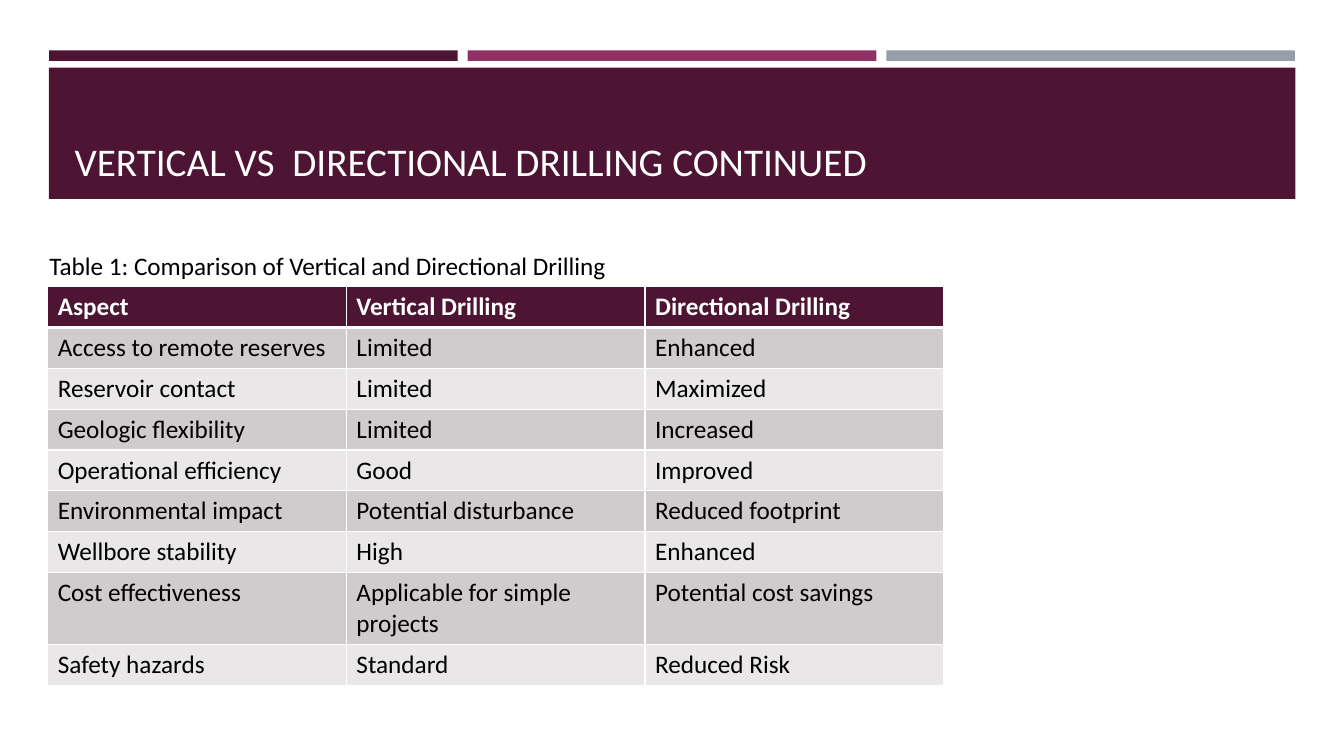
from lxml import etree
from pptx import Presentation
from pptx.dml.color import RGBColor
from pptx.enum.shapes import MSO_SHAPE
from pptx.enum.text import MSO_ANCHOR, PP_ALIGN
from pptx.oxml.ns import qn
from pptx.util import Inches, Pt

RECTANGLE = MSO_SHAPE.RECTANGLE
LEFT = PP_ALIGN.LEFT
TOP, BOTTOM = MSO_ANCHOR.TOP, MSO_ANCHOR.BOTTOM
TITLE_ONLY = 5
GRID = 100

COLORS = {
    "plum": "4D1434",
    "magenta": "903163",
    "steel": "969FA7",
    "dark_band": "D0CCCE",
    "light_band": "E9E7E8",
    "white": "FFFFFF",
    "black": "000000",
}

COMPARISON = [
    ("Aspect", "Vertical Drilling", "Directional Drilling"),
    ("Access to remote reserves", "Limited", "Enhanced"),
    ("Reservoir contact", "Limited", "Maximized"),
    ("Geologic flexibility", "Limited", "Increased"),
    ("Operational efficiency", "Good", "Improved"),
    ("Environmental impact", "Potential disturbance", "Reduced footprint"),
    ("Wellbore stability", "High", "Enhanced"),
    ("Cost effectiveness", "Applicable for simple projects", "Potential cost savings"),
    ("Safety hazards", "Standard", "Reduced Risk"),
]


class SlideBuilder:
    font_name = "Calibri"

    def __init__(self, presentation):
        self.column = presentation.slide_width / GRID
        self.row = presentation.slide_height / GRID
        self.slide = presentation.slides.add_slide(presentation.slide_layouts[TITLE_ONLY])

    def place(self, left, top, width, height):
        return (
            round(left * self.column),
            round(top * self.row),
            round(width * self.column),
            round(height * self.row),
        )

    def fill(self, target, color):
        target.fill.solid()
        target.fill.fore_color.rgb = RGBColor.from_string(COLORS[color])

    def set_text(self, frame, text, size, color, bold=False, anchor=TOP):
        frame.word_wrap = True
        frame.vertical_anchor = anchor
        paragraph = frame.paragraphs[0]
        paragraph.alignment = LEFT
        run = paragraph.add_run()
        run.text = text
        font_format = {"name": self.font_name, "size": Pt(size), "bold": bold}
        for attribute, value in font_format.items():
            setattr(run.font, attribute, value)
        run.font.color.rgb = RGBColor.from_string(COLORS[color])

    def rectangle(self, box, color):
        shape = self.slide.shapes.add_shape(RECTANGLE, *self.place(*box))
        shape.shadow.inherit = False
        self.fill(shape, color)
        shape.line.fill.background()

    def title(self, box, text):
        title = self.slide.shapes.title
        position = zip(("left", "top", "width", "height"), self.place(*box))
        for attribute, value in position:
            setattr(title, attribute, value)
        self.set_text(title.text_frame, text, 28, "white", anchor=BOTTOM)
        title.element.getparent().append(title.element)

    def caption(self, box, text):
        text_box = self.slide.shapes.add_textbox(*self.place(*box))
        self.set_text(text_box.text_frame, text, 18, "black")

    def borders(self, cell, widths):
        properties = cell._tc.get_or_add_tcPr()
        for index, (side, width) in enumerate(widths.items()):
            line = etree.Element(qn(f"a:ln{side}"), w=str(Pt(width)))
            solid = etree.SubElement(line, qn("a:solidFill"))
            etree.SubElement(solid, qn("a:srgbClr"), val=COLORS["white"])
            properties.insert(index, line)

    def table(self, box, rows):
        frame = self.slide.shapes.add_table(len(rows), len(rows[0]), *self.place(*box))
        for row_index, texts in enumerate(rows):
            header = row_index == 0
            band = "dark_band" if row_index % 2 else "light_band"
            widths = {"L": 1, "R": 1, "T": 3 if row_index == 1 else 1, "B": 3 if header else 1}
            for column_index, text in enumerate(texts):
                cell = frame.table.cell(row_index, column_index)
                self.fill(cell, "plum" if header else band)
                self.borders(cell, widths)
                self.set_text(cell.text_frame, text, 18, "white" if header else "black", header)


def main():
    presentation = Presentation()
    presentation.slide_width = Inches(13.33)
    presentation.slide_height = Inches(7.5)
    builder = SlideBuilder(presentation)
    for index, color in enumerate(("plum", "magenta", "steel")):
        builder.rectangle((3.65 + index * 31.15, 6.67, 30.4, 1.4), color)
    builder.rectangle((3.63, 8.95, 92.75, 17.35), "plum")
    builder.title((4.8, 10.27, 90.45, 14.8), "VERTICAL VS  DIRECTIONAL DRILLING CONTINUED")
    builder.table((3.55, 37.9, 66.67, 5.4 * len(COMPARISON)), COMPARISON)
    builder.caption(
        (2.93, 32.5, 49.05, 5.4), "Table 1: Comparison of Vertical and Directional Drilling"
    )
    presentation.save("out.pptx")


if __name__ == "__main__":
    main()
